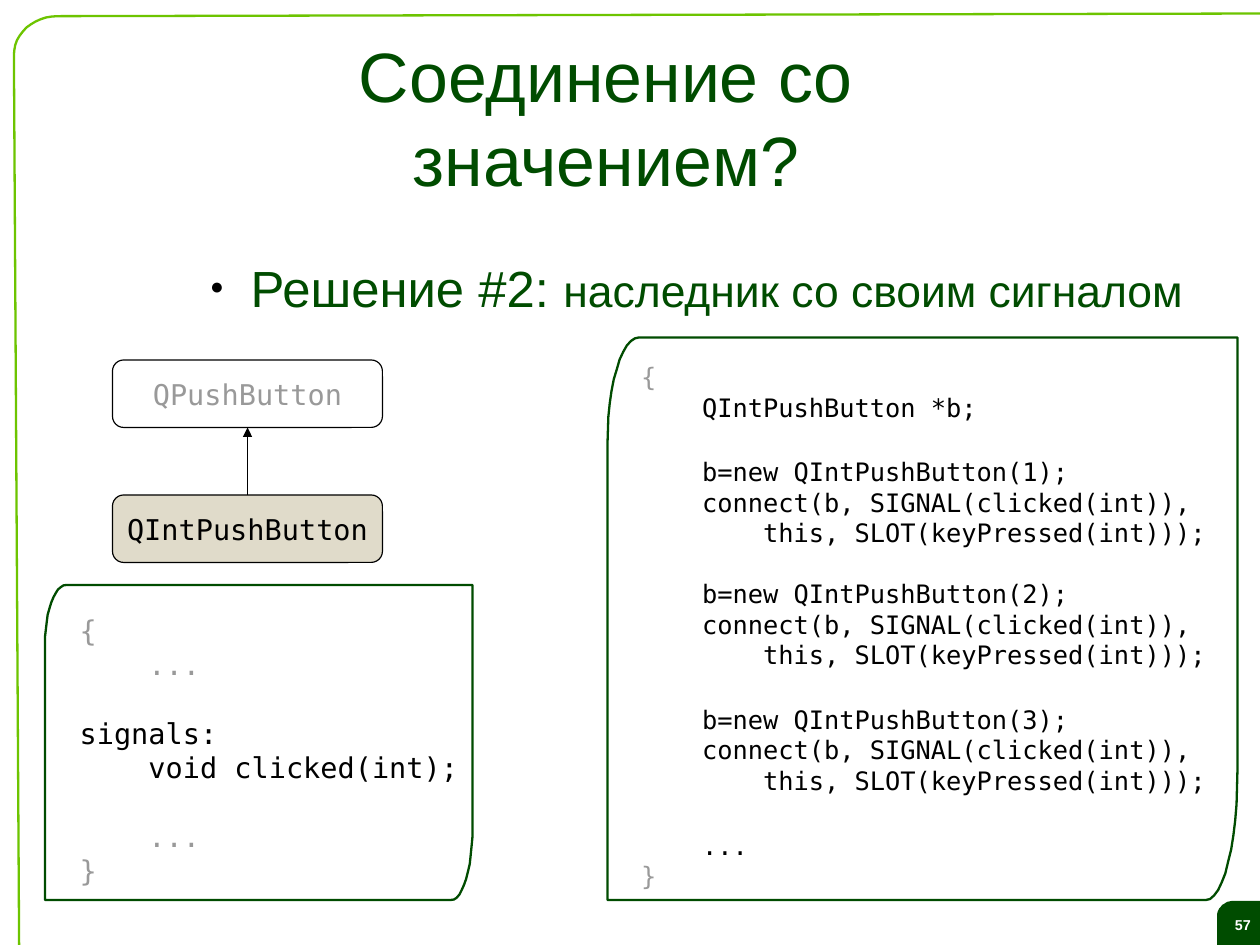
import math
from dataclasses import dataclass

import pptx
import pptx.dml.color
import pptx.enum.shapes
import pptx.enum.text
import pptx.oxml.ns
import pptx.shapes.autoshape
import pptx.slide
import pptx.text.text
import pptx.util
from lxml import etree
from pptx.dml.color import RGBColor
from pptx.enum.text import MSO_ANCHOR, PP_ALIGN
from pptx.util import Cm, Pt

GREEN = RGBColor(0x00, 0x4C, 0x00)
LIME = RGBColor(0x6D, 0xC4, 0x00)
BEIGE = RGBColor(0xE0, 0xDB, 0xCA)
GREY = RGBColor(0x99, 0x99, 0x99)
BLACK = RGBColor(0x00, 0x00, 0x00)
WHITE = RGBColor(0xFF, 0xFF, 0xFF)
SANS = "Arial"
MONO = "DejaVu Sans Mono"
MONO_LINE = 1.2  # line height of the code font, per point of size
UNITS = 100  # outline units per cm, since outlines keep whole units only

Point = tuple[float, float]


@dataclass
class Leaf:
    """Rectangle in cm with two opposite rounded corners, radii as shares of it."""
    left: float
    top: float
    width: float
    height: float
    radius_x: float = 0.05
    top_radius_y: float = 0.19
    bottom_radius_y: float = 0.23


@dataclass
class ClassBox:
    name: str
    top: float
    fill: RGBColor
    colour: RGBColor


@dataclass
class CodeLine:
    text: str
    colour: RGBColor = BLACK
    gap: float = 0  # size in points of the empty line above


@dataclass
class Listing:
    left: float
    top: float
    width: float
    height: float
    size: float
    wrap: bool
    lines: list[CodeLine]


def format_font(span, size: float, colour: RGBColor, name: str) -> None:
    span.font.size = Pt(size)
    span.font.name = name
    span.font.color.rgb = colour


def set_insets(frame: pptx.text.text.TextFrame, side: float, edge: float) -> None:
    frame.margin_left = frame.margin_right = Cm(side)
    frame.margin_top = frame.margin_bottom = Cm(edge)


def quarter(centre: Point, radius_x: float, radius_y: float, start: int) -> list[Point]:
    """Points of a quarter ellipse, clockwise from an angle in degrees."""
    angles = [math.radians(start + 7.5 * step) for step in range(13)]
    return [(centre[0] + radius_x * math.cos(angle),
             centre[1] + radius_y * math.sin(angle)) for angle in angles]


def leaf_points(leaf: Leaf) -> list[Point]:
    right, bottom = leaf.left + leaf.width, leaf.top + leaf.height
    radius_x = leaf.radius_x * leaf.width
    top_y = leaf.top_radius_y * leaf.height
    bottom_y = leaf.bottom_radius_y * leaf.height
    return (quarter((leaf.left + radius_x, leaf.top + top_y), radius_x, top_y, 180)
            + [(right, leaf.top)]
            + quarter((right - radius_x, bottom - bottom_y), radius_x, bottom_y, 0)
            + [(leaf.left, bottom)])


def draw_outline(page: pptx.slide.Slide, points: list[Point],
                 line: RGBColor | None = None,
                 fill: RGBColor | None = None) -> pptx.shapes.autoshape.Shape:
    start, *others = [(x * UNITS, y * UNITS) for x, y in points]
    builder = page.shapes.build_freeform(*start, scale=Cm(1) / UNITS)
    builder.add_line_segments(others, close=True)
    shape = builder.convert_to_shape()
    shape.shadow.inherit = False
    if fill is None:
        shape.fill.background()
    else:
        shape.fill.solid()
        shape.fill.fore_color.rgb = fill
    if line is None:
        shape.line.fill.background()
    else:
        shape.line.color.rgb = line
        shape.line.width = Pt(1.45)
    return shape


def draw_class_box(page: pptx.slide.Slide, item: ClassBox) -> None:
    box = page.shapes.add_shape(pptx.enum.shapes.MSO_SHAPE.ROUNDED_RECTANGLE,
                                Cm(2.5), Cm(item.top), Cm(6), Cm(1.5))
    box.shadow.inherit = False
    box.fill.solid()
    box.fill.fore_color.rgb = item.fill
    box.line.color.rgb = BLACK
    box.line.width = Pt(0)
    frame = box.text_frame
    frame.text = item.name
    frame.word_wrap = False
    frame.vertical_anchor = MSO_ANCHOR.MIDDLE
    para = frame.paragraphs[0]
    para.alignment = PP_ALIGN.CENTER
    format_font(para.runs[0], 18, item.colour, MONO)


def draw_listing(page: pptx.slide.Slide, listing: Listing) -> None:
    box = page.shapes.add_textbox(Cm(listing.left), Cm(listing.top),
                                  Cm(listing.width), Cm(listing.height))
    frame = box.text_frame
    frame.word_wrap = listing.wrap
    set_insets(frame, 0.25, 0.13)
    frame.text = "\n".join(line.text for line in listing.lines)
    for para, line in zip(frame.paragraphs, listing.lines):
        if line.gap:
            para.space_before = Pt(line.gap * MONO_LINE)
        format_font(para.runs[0], listing.size, line.colour, MONO)


def connect_lines(number: int, gap: float) -> list[CodeLine]:
    return [CodeLine(f"    b=new QIntPushButton({number});", gap=gap),
            CodeLine("    connect(b, SIGNAL(clicked(int)),"),
            CodeLine("        this, SLOT(keyPressed(int)));")]


CLASS_BOXES = [ClassBox("QPushButton", 8, WHITE, GREY),
               ClassBox("QIntPushButton", 11, BEIGE, BLACK)]
LISTINGS = [
    Listing(1.52, 13.49, 8.92, 6.15, 18, False, [
        CodeLine("{", GREY), CodeLine("    ...", GREY),
        CodeLine("signals:", gap=18), CodeLine("    void clicked(int);"),
        CodeLine("    ...", GREY, gap=18), CodeLine("}", GREY)]),
    Listing(14, 7.9, 13.49, 12.29, 16, True, [
        CodeLine("{", GREY), CodeLine("    QIntPushButton *b;"),
        *connect_lines(1, 18), *connect_lines(2, 16), *connect_lines(3, 18),
        CodeLine("    ...", gap=18), CodeLine("}", GREY)]),
]
CODE_FRAMES = [Leaf(1, 13, 9.5, 7), Leaf(13.5, 7.5, 14, 12.5)]
PAGE_TAB = Leaf(27.05, 20.02, 1.14, 1.08, 0.33, 0.3, 0.37)


def main() -> None:
    deck = pptx.Presentation()
    deck.slide_width, deck.slide_height = Cm(28), Cm(21)
    page = deck.slides.add_slide(deck.slide_layouts[5])

    # Page number tab and border
    tab = draw_outline(page, leaf_points(PAGE_TAB), fill=GREEN)
    tab.text_frame.text = "57"
    tab.text_frame.vertical_anchor = MSO_ANCHOR.MIDDLE
    set_insets(tab.text_frame, 0.28, 0.15)
    para = tab.text_frame.paragraphs[0]
    para.alignment = PP_ALIGN.CENTER
    format_font(para.runs[0], 9, WHITE, SANS)
    para.runs[0].font.bold = True
    corner = quarter((1.27, 1.22), 0.96, 0.86, 180)
    draw_outline(page, corner + [(28.63, 0.3), (28.78, 21.77), (0.43, 21.72)], line=LIME)

    # Title
    title = page.shapes.title
    title.left, title.top, title.width, title.height = Cm(4.37), Cm(0.84), Cm(18.2), Cm(3.5)
    frame = title.text_frame
    frame.text = "Соединение со значением?"
    frame.auto_size = pptx.enum.text.MSO_AUTO_SIZE.NONE
    frame.word_wrap = True
    frame.vertical_anchor = MSO_ANCHOR.MIDDLE
    set_insets(frame, 0, 0)
    frame.paragraphs[0].alignment = PP_ALIGN.CENTER
    format_font(frame.paragraphs[0].runs[0], 44, GREEN, SANS)

    # Bulleted statement
    box = page.shapes.add_textbox(Cm(4.37), Cm(5.7), Cm(22.33), Cm(13.86))
    box.text_frame.word_wrap = True
    set_insets(box.text_frame, 0, 0)
    para = box.text_frame.paragraphs[0]
    properties = para._p.get_or_add_pPr()
    properties.set("marL", str(Cm(1.2)))
    properties.set("indent", str(Cm(-0.9)))
    name = pptx.oxml.ns.qn
    bullet_colour = etree.SubElement(properties, name("a:buClr"))
    etree.SubElement(bullet_colour, name("a:srgbClr"), val=str(BLACK))
    etree.SubElement(properties, name("a:buSzPct"), val="45000")
    etree.SubElement(properties, name("a:buFont"), typeface=SANS)
    etree.SubElement(properties, name("a:buChar"), char="●")
    for text, size in [("Решение #2: ", 32), ("наследник со своим сигналом", 28)]:
        span = para.add_run()
        span.text = text
        format_font(span, size, GREEN, SANS)

    # Class diagram
    for item in CLASS_BOXES:
        draw_class_box(page, item)
    arrow = page.shapes.add_connector(pptx.enum.shapes.MSO_CONNECTOR.STRAIGHT,
                                      Cm(5.5), Cm(11), Cm(5.5), Cm(9.5))
    arrow.line.color.rgb = BLACK
    arrow.line.width = Pt(0.25)
    etree.SubElement(arrow.line._get_or_add_ln(), name("a:tailEnd"), type="triangle")
    etree.SubElement(arrow._element.spPr, name("a:effectLst"))

    # Code listings and their frames
    for listing in LISTINGS:
        draw_listing(page, listing)
    for leaf in CODE_FRAMES:
        draw_outline(page, leaf_points(leaf), line=GREEN)

    deck.save("out.pptx")


if __name__ == "__main__":
    main()
